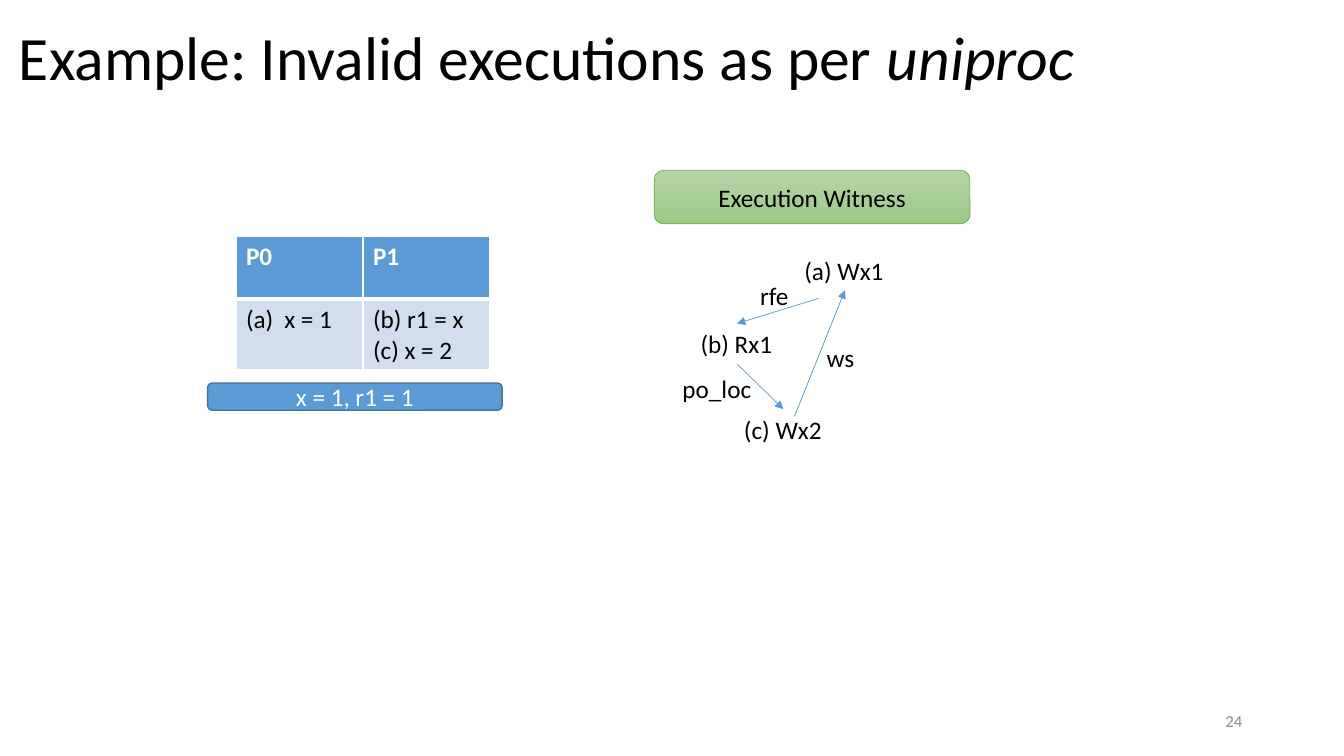
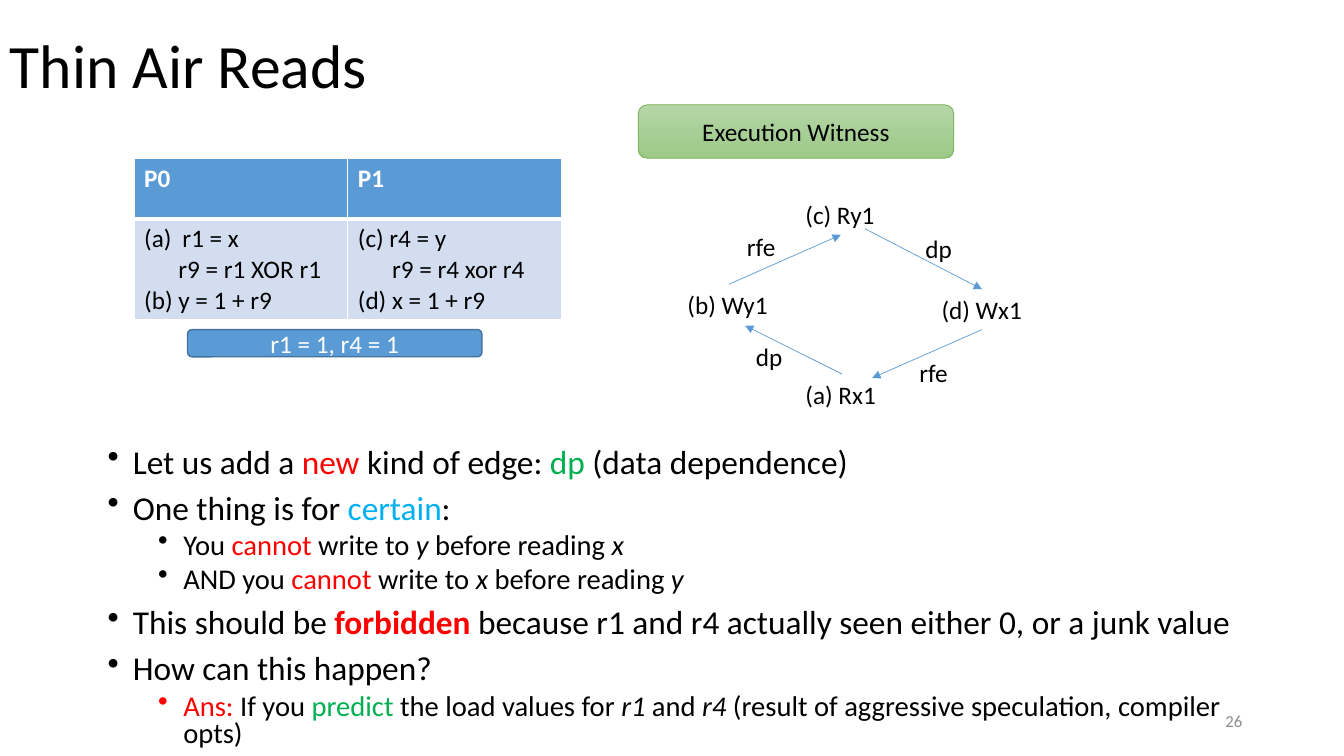
from lxml import etree
from pptx import Presentation
from pptx.dml.color import RGBColor
from pptx.enum.shapes import MSO_CONNECTOR, MSO_SHAPE
from pptx.enum.text import MSO_ANCHOR, PP_ALIGN
from pptx.oxml.ns import qn
from pptx.util import Inches, Pt

ROUNDED = MSO_SHAPE.ROUNDED_RECTANGLE
STRAIGHT = MSO_CONNECTOR.STRAIGHT
TOP, MIDDLE = MSO_ANCHOR.TOP, MSO_ANCHOR.MIDDLE
LEFT, CENTER, RIGHT = PP_ALIGN.LEFT, PP_ALIGN.CENTER, PP_ALIGN.RIGHT

FONT = "Calibri"
COLORS = {
    "black": "000000", "white": "FFFFFF", "grey": "8C8C8C",
    "blue": "5B9BD5", "blue edge": "43739E", "pale blue": "D2DEEF",
    "green edge": "70AD47", "green top": "B5D5A7", "green bottom": "9CC987",
    "red": "FF0000", "green": "00B050", "cyan": "00B0F0",
}
GRID_COLUMNS, GRID_ROWS = 133.3, 75
UNIT = Inches(0.1)
LABEL_ROWS = 4

RED, GREEN, CYAN = ({"color": name} for name in ("red", "green", "cyan"))
ITALIC = {"italic": True}


def grid(*counts):
    """Turn counts of grid columns or rows into lengths."""
    return [round(count * UNIT) for count in counts]


def rgb(name):
    return RGBColor.from_string(COLORS[name])


def write(paragraph, text, size=18, color="black", bold=False, italic=False):
    run = paragraph.add_run()
    run.text = text
    font = run.font
    font.name, font.size = FONT, Pt(size)
    font.bold, font.italic = bold, italic
    font.color.rgb = rgb(color)


def write_runs(paragraph, runs, **base):
    """Write plain strings, or (text, format) pairs, over a base format."""
    for run in runs:
        text, changes = (run, {}) if isinstance(run, str) else run
        write(paragraph, text, **{**base, **changes})


def indent(paragraph, margin, hanging=0, bullet=None, **bullet_attributes):
    properties = paragraph._p.get_or_add_pPr()
    margin, hanging = grid(margin, hanging)
    properties.set("marL", str(margin))
    properties.set("indent", str(-hanging))
    if bullet:
        etree.SubElement(properties, qn(bullet), bullet_attributes)


def border(cell, bottom):
    """Draw white cell edges, with the bottom one of the given width."""
    properties = cell._tc.get_or_add_tcPr()
    for side, width in (("L", 1), ("R", 1), ("T", 1), ("B", bottom)):
        edge = etree.SubElement(properties, qn(f"a:ln{side}"), w=str(Pt(width)))
        fill = etree.SubElement(edge, qn("a:solidFill"))
        etree.SubElement(fill, qn("a:srgbClr"), val=COLORS["white"])


class Deck:
    def __init__(self):
        self.file = Presentation()
        self.file.slide_width, self.file.slide_height = grid(GRID_COLUMNS, GRID_ROWS)
        self.shapes = None

    def slide(self, title, number, left, top):
        blank = self.file.slide_layouts[6]
        self.shapes = self.file.slides.add_slide(blank).shapes
        heading = self.box(left, top, 115, 14.5, anchor=MIDDLE).paragraphs[0]
        heading.line_spacing = 0.9
        write_runs(heading, title, size=44)
        page = self.box(94.2, 69.5, 30, 4, anchor=MIDDLE).paragraphs[0]
        page.alignment = RIGHT
        write(page, number, size=12, color="grey")

    def box(self, left, top, width, height, anchor=TOP, wrap=True):
        frame = self.shapes.add_textbox(*grid(left, top, width, height)).text_frame
        frame.word_wrap, frame.vertical_anchor = wrap, anchor
        return frame

    def label(self, text, left, top, width):
        frame = self.box(left, top, width, LABEL_ROWS, wrap=False)
        write(frame.paragraphs[0], text)

    def plate(self, text, place, edge, edge_width, color):
        plate = self.shapes.add_shape(ROUNDED, *grid(*place))
        plate.shadow.inherit = False
        plate.line.color.rgb = rgb(edge)
        plate.line.width = Pt(edge_width)
        plate.text_frame.vertical_anchor = MIDDLE
        caption = plate.text_frame.paragraphs[0]
        caption.alignment = CENTER
        write(caption, text, color=color)
        return plate.fill

    def outcome(self, text, left, top):
        fill = self.plate(text, (left, top, 29.2, 2.7), "blue edge", 1, "white")
        fill.solid()
        fill.fore_color.rgb = rgb("blue")

    def witness(self, left, top):
        fill = self.plate("Execution Witness", (left, top, 31.3, 5.3),
                          "green edge", 0.5, "black")
        fill.gradient()
        fill.gradient_angle = 270
        for stop, name in zip(fill.gradient_stops, ("green top", "green bottom")):
            stop.color.rgb = rgb(name)

    def arrow(self, start, end):
        arrow = self.shapes.add_connector(STRAIGHT, *grid(*start, *end))
        arrow.line.color.rgb = rgb("blue")
        arrow.line.width = Pt(0.5)
        properties = arrow._element.spPr
        etree.SubElement(properties.find(qn("a:ln")), qn("a:tailEnd"), type="triangle")
        etree.SubElement(properties, qn("a:effectLst"))

    def graph(self, labels, arrows):
        for label in labels:
            self.label(*label)
        for start, end in arrows:
            self.arrow(start, end)

    def programs(self, left, top, column, heights, threads):
        """Tabulate threads, each a list of (style, code) lines."""
        table = self.shapes.add_table(
            2, len(threads), *grid(left, top, column * len(threads), sum(heights))).table
        for row, height in zip(table.rows, grid(*heights)):
            row.height = height
        for index, (name, lines) in enumerate(threads.items()):
            table.columns[index].width = grid(column)[0]
            head, body = table.cell(0, index), table.cell(1, index)
            for cell, bottom, color in ((head, 3, "blue"), (body, 1, "pale blue")):
                border(cell, bottom)
                cell.fill.solid()
                cell.fill.fore_color.rgb = rgb(color)
            write(head.text_frame.paragraphs[0], name, color="white", bold=True)
            for line, (style, code) in enumerate(lines):
                frame = body.text_frame
                paragraph = frame.add_paragraph() if line else frame.paragraphs[0]
                if style == "numbered":
                    indent(paragraph, 3.8, 3.8, "a:buAutoNum", type="alphaLcParenBoth")
                elif style == "inner":
                    indent(paragraph, 3.4)
                write(paragraph, code)

    def bullets(self, place, items):
        frame = self.box(*place)
        for index, (level, runs) in enumerate(items):
            paragraph = frame.add_paragraph() if index else frame.paragraphs[0]
            paragraph.level = level
            paragraph.alignment = LEFT
            paragraph.line_spacing = 0.8
            paragraph.space_before = Pt((10, 5)[level])
            indent(paragraph, 2.5 + 5 * level, 2.5, "a:buChar", char="•")
            write_runs(paragraph, runs, size=(23.8, 20.4)[level])


def invalid_executions(deck):
    deck.slide(["Example: Invalid executions as per ", ("uniproc", ITALIC)],
               "24", 0.9, -1.2)
    deck.programs(23.4, 23.5, 12.6, (6.2, 7), {
        "P0": [("numbered", "x = 1")],
        "P1": [("plain", "(b) r1 = x"), ("plain", "(c) x = 2")],
    })
    deck.outcome("x = 1, r1 = 1", 20.6, 38)
    deck.witness(64.9, 16.9)
    deck.graph(
        labels=[
            ("(a) Wx1", 78.8, 24.8, 10), ("(b) Rx1", 68.5, 32.1, 9.2),
            ("(c) Wx2", 72.8, 40.6, 9.8), ("rfe", 74.4, 27.3, 4.9),
            ("po_loc", 66.7, 36.5, 8.9), ("ws", 81, 33.5, 4.8),
        ],
        arrows=[
            ((81.2, 29.6), (73.1, 32.1)),
            ((73.1, 36.1), (77.7, 40.6)),
            ((78.8, 41.3), (83.8, 28.8)),
        ])


def thin_air_reads(deck):
    deck.slide(["Thin Air Reads"], "26", 0, -0.5)
    deck.bullets((9.7, 44, 115, 31), [
        (0, ["Let us add a ", ("new", RED), " kind of edge: ", ("dp ", GREEN),
             "(data dependence)"]),
        (0, ["One thing is for ", ("certain", CYAN), ":"]),
        (1, ["You ", ("cannot", RED), " write to ", ("y ", ITALIC),
             "before reading ", ("x", ITALIC)]),
        (1, ["AND you ", ("cannot", RED), " write to ", ("x ", ITALIC),
             "before reading ", ("y", ITALIC)]),
        (0, ["This should be ", ("forbidden ", {**RED, "bold": True}),
             "because r1 and r4 actually seen either 0, or a junk value"]),
        (0, ["How can this happen?"]),
        (1, [("Ans:", RED), " If you ", ("predict", GREEN),
             " the load values for ", ("r1", ITALIC), " and ", ("r4 ", ITALIC),
             "(result of aggressive speculation, compiler opts)"]),
    ])
    deck.programs(13.3, 15.7, 21.2, (6, 10), {
        "P0": [("numbered", "r1 = x"), ("inner", "r9 = r1 XOR r1"),
               ("plain", "(b) y = 1 + r9")],
        "P1": [("plain", "(c) r4 = y"), ("inner", "r9 = r4 xor r4"),
               ("plain", "(d) x = 1 + r9")],
    })
    deck.outcome("r1 = 1, r4 = 1", 18.6, 32.7)
    deck.witness(63.3, 10.4)
    deck.graph(
        labels=[
            ("(c) Ry1", 78.9, 19.3, 9), ("(b) Wy1", 67.2, 28.2, 10.1),
            ("(d) Wx1", 92.4, 28.7, 10.1), ("(a) Rx1", 78.9, 37.1, 9.1),
            ("dp", 74, 33.4, 4.7), ("rfe", 73.1, 22.5, 4.9),
            ("dp", 90.8, 22.7, 4.7), ("rfe", 90.2, 35, 4.9),
        ],
        arrows=[
            ((83.5, 37.1), (73.9, 32.3)),
            ((72.3, 28.2), (83.4, 23.3)),
            ((85.8, 22.7), (97.4, 28.7)),
            ((97.4, 32.7), (86.5, 37.5)),
        ])


def main():
    deck = Deck()
    invalid_executions(deck)
    thin_air_reads(deck)
    deck.file.save("out.pptx")


if __name__ == "__main__":
    main()
